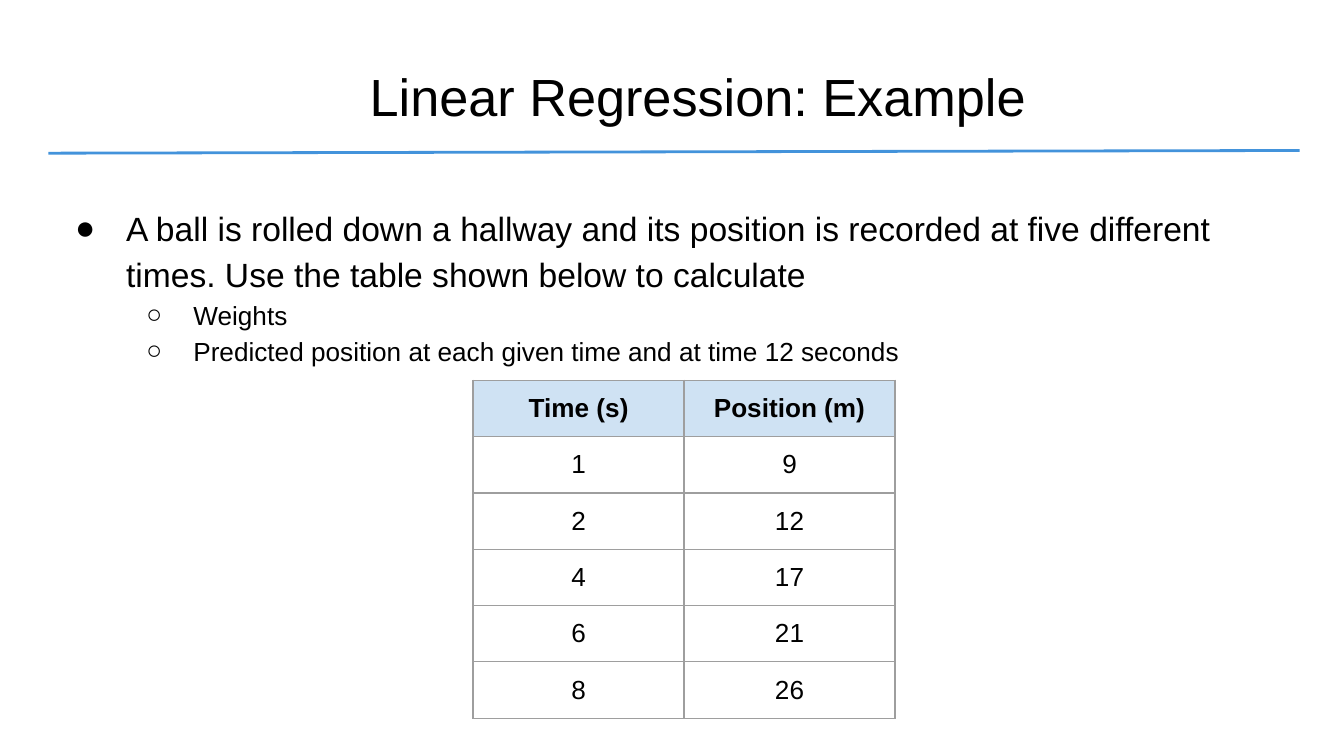
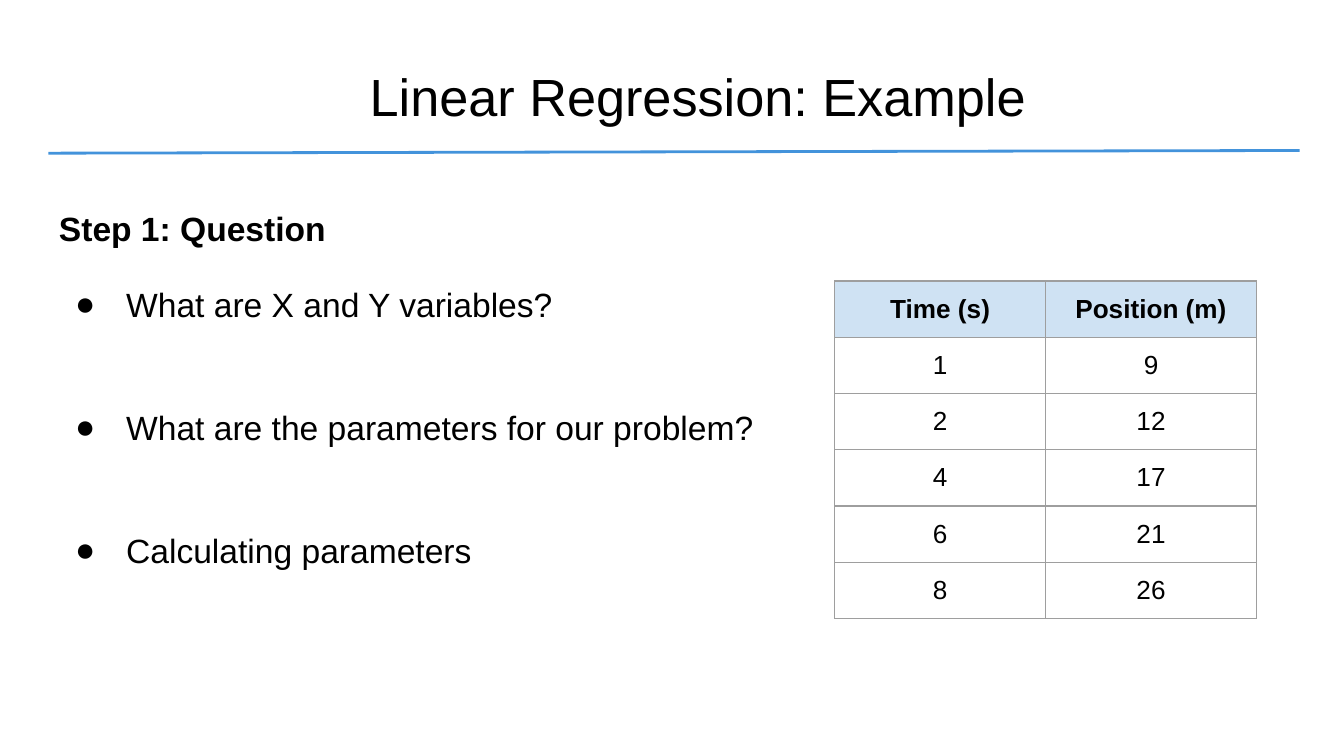
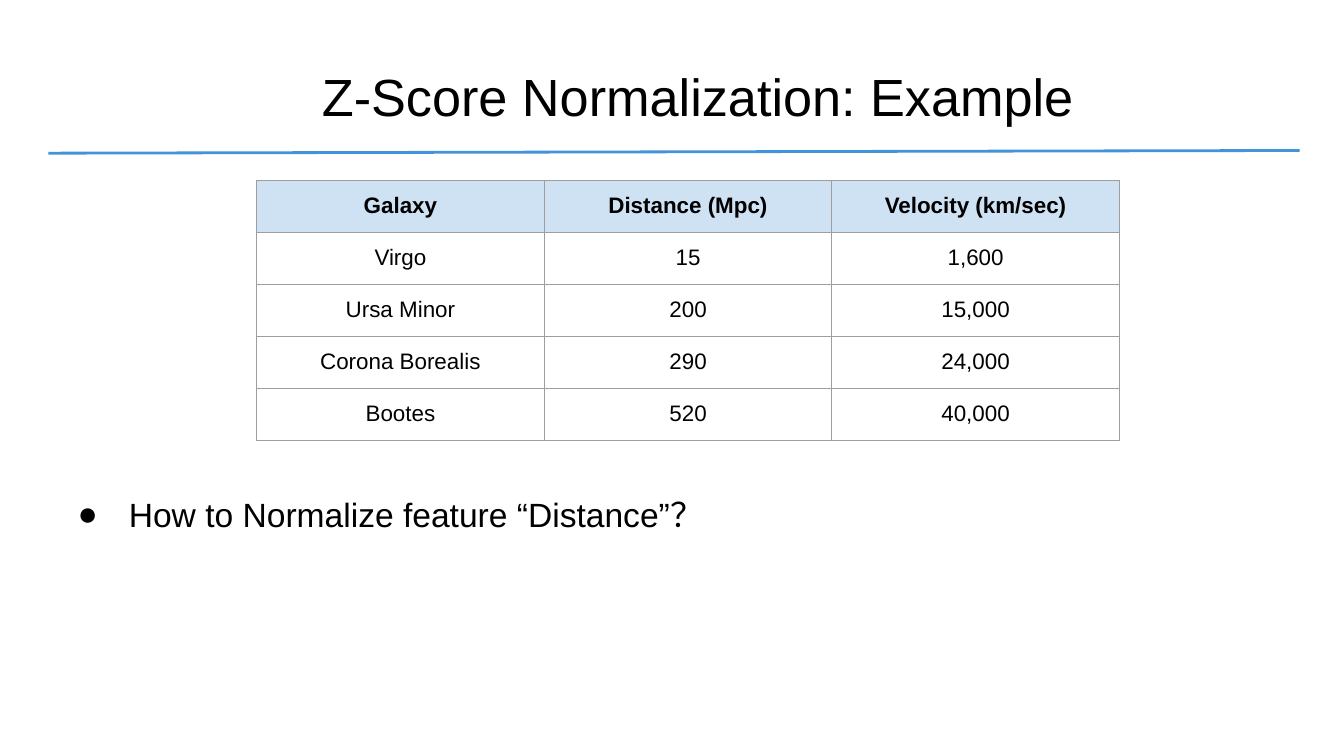
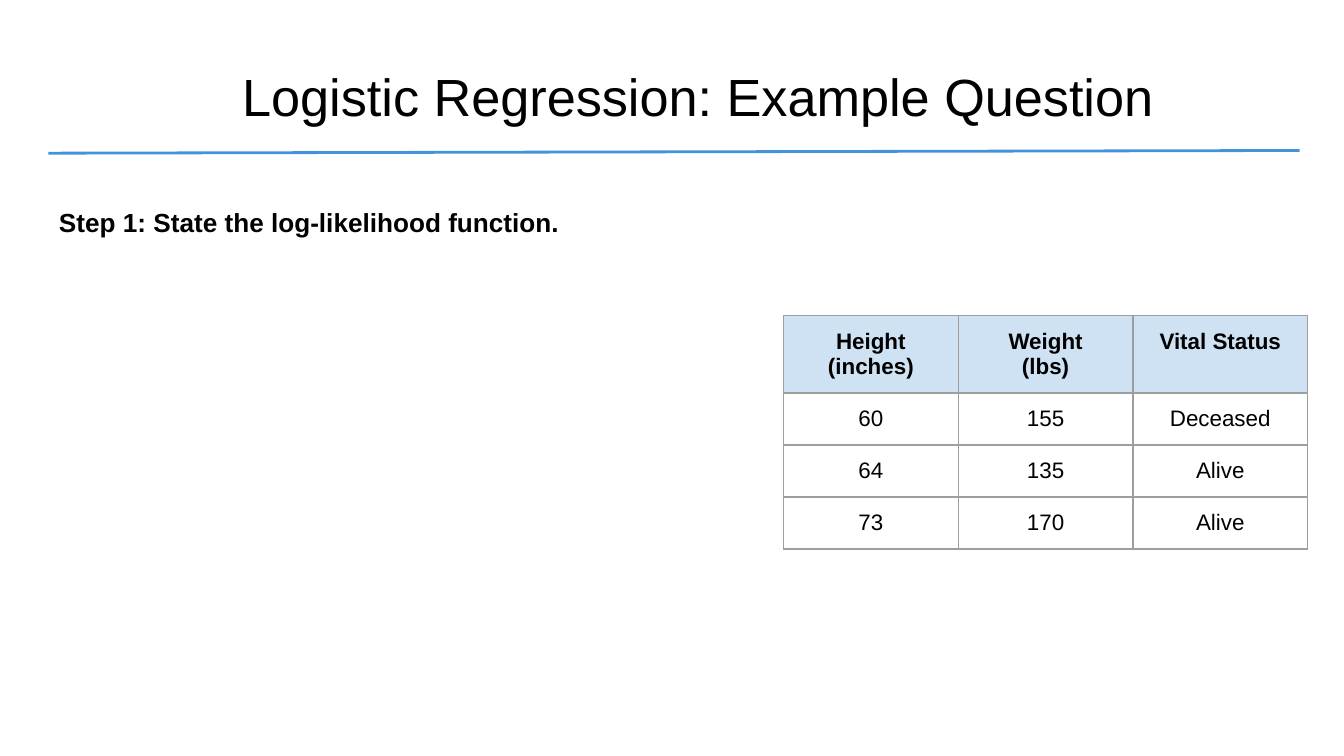
"""Build four worked-example slides on regression and normalization."""
from lxml import etree
from pptx import Presentation
from pptx.dml.color import RGBColor
from pptx.enum import shapes, text
from pptx.oxml import ns
from pptx.util import Inches, Pt

FONT = "Arial"
BLACK = RGBColor(0x00, 0x00, 0x00)
WHITE = RGBColor(0xFF, 0xFF, 0xFF)
RULE_BLUE = RGBColor(0x43, 0x93, 0xDB)
HEADER_BLUE = RGBColor(0xCF, 0xE2, 0xF3)
GRID_GRAY = RGBColor(0x9E, 0x9E, 0x9E)

STYLES = {
    "bullet": {"size": 18, "bullet": "●", "left": 0.5, "hang": 0.38},
    "sub": {"size": 14, "bullet": "○", "left": 1, "hang": 0.35, "level": 1},
    "step": {"size": 18, "bold": True},
    "small step": {"size": 14, "bold": True, "align": text.PP_ALIGN.JUSTIFY},
}

BALL_ROWS = [
    ("Time (s)", "Position (m)"),
    ("1", "9"),
    ("2", "12"),
    ("4", "17"),
    ("6", "21"),
    ("8", "26"),
]
GALAXY_ROWS = [
    ("Galaxy", "Distance (Mpc)", "Velocity (km/sec)"),
    ("Virgo", "15", "1,600"),
    ("Ursa Minor", "200", "15,000"),
    ("Corona Borealis", "290", "24,000"),
    ("Bootes", "520", "40,000"),
]
PATIENT_ROWS = [
    ("Height\n(inches)", "Weight\n(lbs)", "Vital Status"),
    ("60", "155", "Deceased"),
    ("64", "135", "Alive"),
    ("73", "170", "Alive"),
]

SLIDES = [
    {
        "title": "Linear Regression: Example",
        "body_at": (0.34, 1.4, 9.32, 3.94),
        "body": [
            ("bullet", "A ball is rolled down a hallway and its position is recorded at five "
                       "different times. Use the table shown below to calculate", 0),
            ("sub", "Weights", 0),
            ("sub", "Predicted position at each given time and at time 12 seconds", 0),
        ],
        "table": {"rows": BALL_ROWS, "at": (3.52, 2.83), "cell": (1.57, 0.41), "size": 14},
    },
    {
        "title": "Linear Regression: Example",
        "body_at": (0.34, 1.4, 6.21, 3.94),
        "body": [
            ("step", "Step 1: Question", 0),
            ("bullet", "What are X and Y variables?", 16),
            ("bullet", "What are the parameters for our problem?", 41),
            ("bullet", "Calculating parameters", 41),
        ],
        "table": {"rows": BALL_ROWS, "at": (6.21, 2.09), "cell": (1.57, 0.41), "size": 14},
    },
    {
        "title": "Z-Score Normalization: Example",
        "body_at": (0.36, 3.53, 9.22, 1.81),
        "body": [("bullet", "How to Normalize feature “Distance”？", 0)],
        "table": {"rows": GALAXY_ROWS, "at": (1.91, 1.34), "cell": (2.14, 0.38), "size": 12},
    },
    {
        "title": "Logistic Regression: Example Question",
        "body_at": (0.34, 1.4, 5.23, 3.94),
        "body": [("small step", "Step 1: State the log-likelihood function.", 0)],
        "table": {"rows": PATIENT_ROWS, "at": (5.83, 2.35), "cell": (1.3, 0.38), "size": 12},
    },
]


def add_element(parent, tag, **attributes):
    element = etree.SubElement(parent, ns.qn(tag))
    for name, value in attributes.items():
        element.set(name, str(value))
    return element


def add_span(para, wording, size, bold=False):
    span = para.add_run()
    span.text = wording
    span.font.name = FONT
    span.font.size = Pt(size)
    span.font.bold = bold
    span.font.color.rgb = BLACK


def set_frame(frame):
    frame.word_wrap = True
    frame.auto_size = text.MSO_AUTO_SIZE.NONE
    frame.vertical_anchor = text.MSO_ANCHOR.TOP
    frame.margin_left = frame.margin_right = Inches(0.1)
    frame.margin_top = frame.margin_bottom = Inches(0.1)


def add_heading(page, wording):
    title = page.shapes.title
    title.left, title.top, title.width, title.height = map(Inches, (1.53, 0.38, 7.32, 0.63))
    set_frame(title.text_frame)
    para = title.text_frame.paragraphs[0]
    para.alignment = text.PP_ALIGN.CENTER
    add_span(para, wording, 28)
    rule = page.shapes.add_connector(
        shapes.MSO_CONNECTOR.STRAIGHT, *map(Inches, (0.36, 1.14, 9.67, 1.12)))
    rule.line.color.rgb = RULE_BLUE
    rule.line.width = Pt(1.5)
    add_element(rule.element.spPr, "a:effectLst")


def add_bullet(para, style):
    properties = para._p.get_or_add_pPr()
    properties.set("marL", str(Inches(style["left"])))
    properties.set("indent", str(-Inches(style["hang"])))
    color = add_element(properties, "a:buClr")
    add_element(color, "a:srgbClr", val=BLACK)
    add_element(properties, "a:buFont", typeface=FONT)
    add_element(properties, "a:buChar", char=style["bullet"])


def add_body(page, place, lines):
    box = page.shapes.add_textbox(*map(Inches, place))
    frame = box.text_frame
    set_frame(frame)
    for index, (kind, wording, space) in enumerate(lines):
        style = STYLES[kind]
        para = frame.add_paragraph() if index else frame.paragraphs[0]
        if "bullet" in style:
            add_bullet(para, style)
        para.level = style.get("level", 0)
        para.alignment = style.get("align", text.PP_ALIGN.LEFT)
        para.line_spacing = 1.15
        if space:
            para.space_before = Pt(space)
        add_span(para, wording, style["size"], style.get("bold", False))


def add_borders(cell):
    properties = cell._tc.get_or_add_tcPr()
    for side in ("a:lnL", "a:lnR", "a:lnT", "a:lnB"):
        border = add_element(properties, side, w=Pt(0.75))
        fill = add_element(border, "a:solidFill")
        add_element(fill, "a:srgbClr", val=GRID_GRAY)


def fill_cell(cell, wording, size, is_header):
    cell.margin_left = cell.margin_right = Inches(0.1)
    cell.margin_top = cell.margin_bottom = Inches(0.1)
    add_borders(cell)
    if is_header:
        cell.fill.solid()
        cell.fill.fore_color.rgb = HEADER_BLUE
    else:
        cell.fill.background()
    frame = cell.text_frame
    for index, line in enumerate(wording.split("\n")):
        para = frame.add_paragraph() if index else frame.paragraphs[0]
        para.alignment = text.PP_ALIGN.CENTER
        add_span(para, line, size, is_header)


def add_data_table(page, rows, at, cell, size):
    width, height = cell
    columns = len(rows[0])
    place = (*at, width * columns, height * len(rows))
    table = page.shapes.add_table(len(rows), columns, *map(Inches, place)).table
    table.first_row = table.horz_banding = False
    for column in table.columns:
        column.width = Inches(width)
    for row_index, row in enumerate(rows):
        table.rows[row_index].height = Inches(height)
        for column_index, wording in enumerate(row):
            fill_cell(table.cell(row_index, column_index), wording, size, row_index == 0)


def main():
    deck = Presentation()
    deck.slide_width = Inches(10)
    deck.slide_height = deck.slide_width * 9 // 16
    background = deck.slide_master.background.fill
    background.solid()
    background.fore_color.rgb = WHITE
    title_only = deck.slide_layouts.get_by_name("Title Only")
    for content in SLIDES:
        page = deck.slides.add_slide(title_only)
        add_heading(page, content["title"])
        add_body(page, content["body_at"], content["body"])
        add_data_table(page, **content["table"])
    deck.save("out.pptx")


if __name__ == "__main__":
    main()
